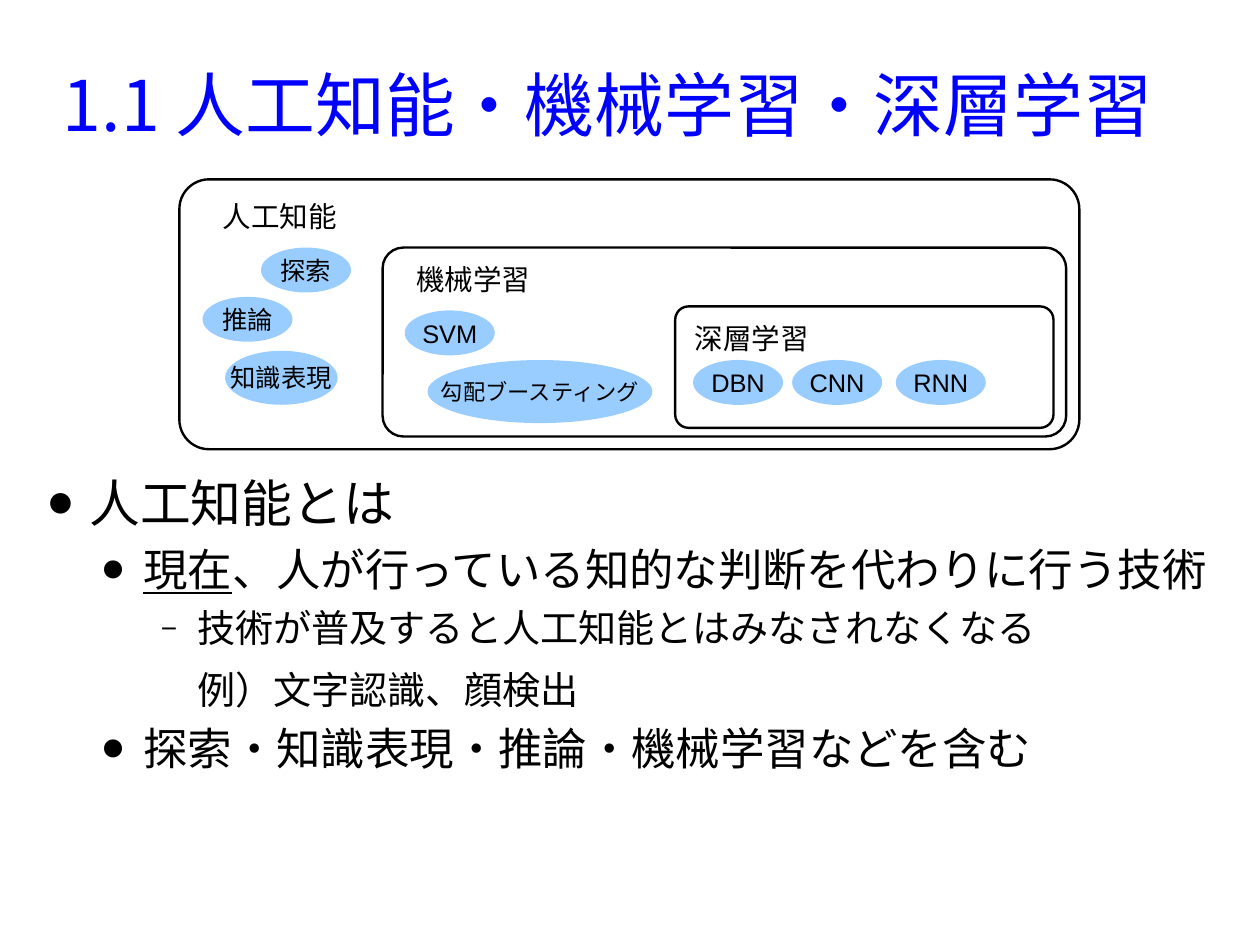
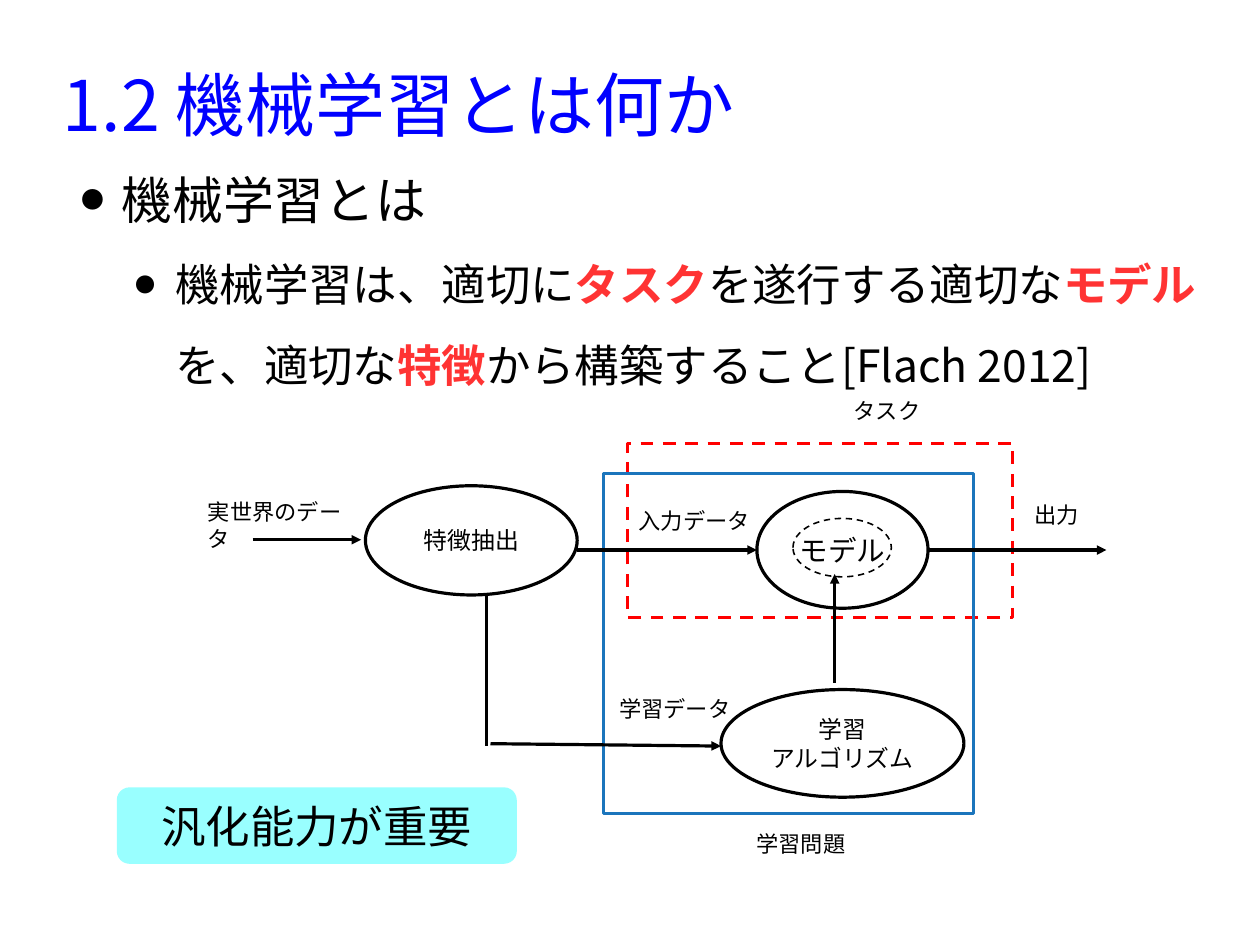
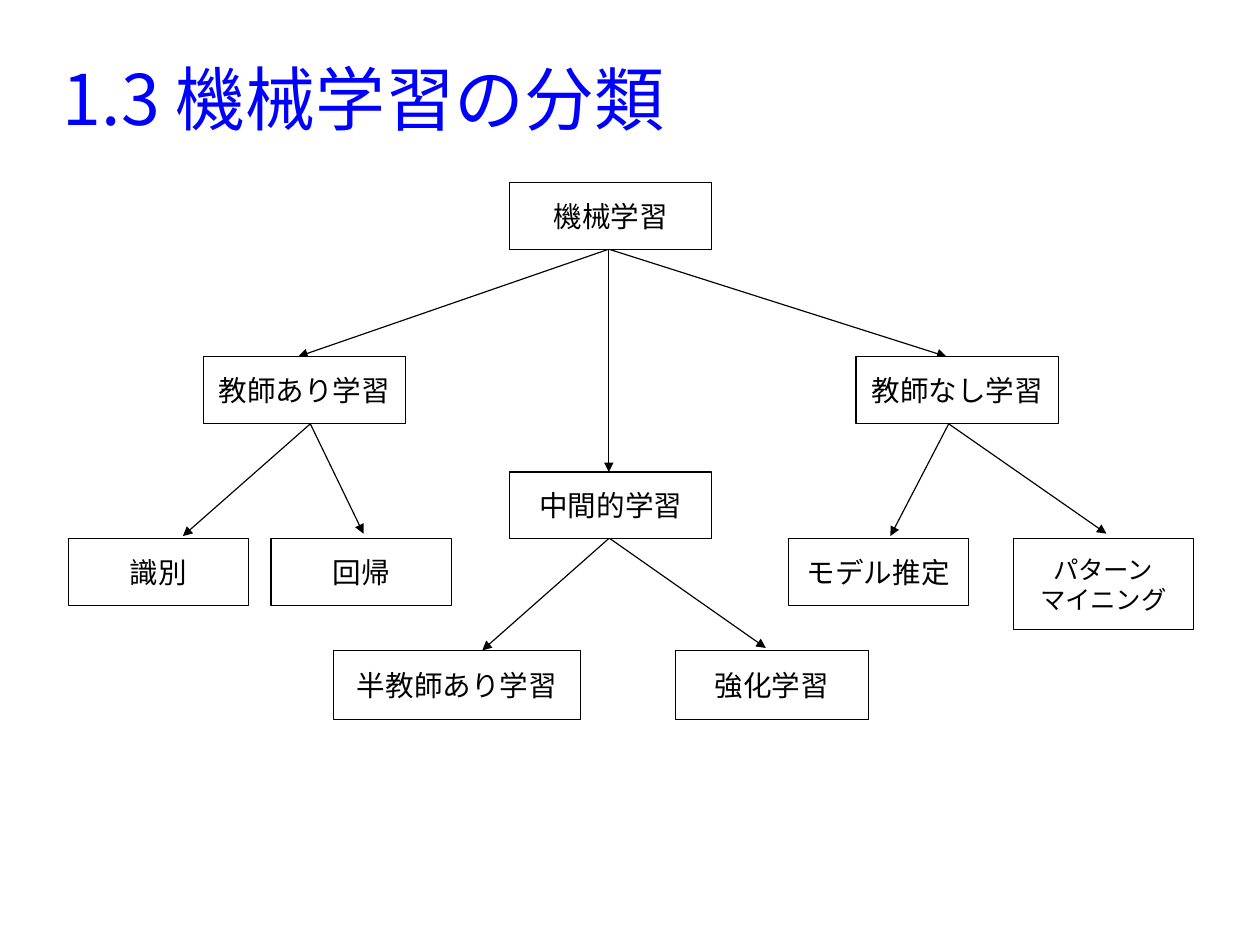
from lxml import etree
from pptx import Presentation
from pptx.dml.color import RGBColor
from pptx.enum.dml import MSO_LINE
from pptx.enum.shapes import MSO_CONNECTOR, MSO_SHAPE
from pptx.enum.text import MSO_ANCHOR, MSO_AUTO_SIZE, PP_ALIGN
from pptx.oxml.ns import qn
from pptx.util import Pt

RECT, ROUND, OVAL = MSO_SHAPE.RECTANGLE, MSO_SHAPE.ROUNDED_RECTANGLE, MSO_SHAPE.OVAL
LINE = MSO_CONNECTOR.STRAIGHT
DASH = MSO_LINE.DASH
LEFT, MID = PP_ALIGN.LEFT, PP_ALIGN.CENTER
TOP, CENTER = MSO_ANCHOR.TOP, MSO_ANCHOR.MIDDLE
FIXED = MSO_AUTO_SIZE.NONE
NOTO, ARIAL = "Noto Sans CJK JP", "Arial"
COLOR = {"black": "000000", "white": "FFFFFF", "title": "0000FF", "key": "FF3333",
         "sky": "99CCFF", "aqua": "99FFFF", "task": "FF0000", "learn": "1B75BC"}
# Outline levels: left margin, hanging indent, size, bullet, bullet percent
LEVEL = [(34, -25.2, 32, "●", 45), (68, -25.2, 28, "●", 45), (102, -22.3, 24, "−", 75)]


def rgb(name):
    return RGBColor.from_string(COLOR[name])


def write(para, text, size=18, font=NOTO, color="black", bold=False, under=False):
    """Add one formatted run to a paragraph."""
    run = para.add_run()
    run.text = text
    face = run.font
    face.size, face.name, face.bold, face.underline = Pt(size), font, bold, under
    face.color.rgb = rgb(color)
    east = etree.Element(qn("a:ea"), typeface=font)
    face._element.find(qn("a:latin")).addnext(east)


class Deck:
    def __init__(self, width, height):
        self.prs = Presentation()
        self.prs.slide_width, self.prs.slide_height = Pt(width), Pt(height)
        self.slide = None

    def frame(self, shape, anchor=TOP, pad=(7.2, 3.6), wrap=False):
        frame = shape.text_frame
        frame.auto_size, frame.word_wrap = FIXED, wrap
        frame.vertical_anchor = anchor
        frame.margin_left = frame.margin_right = Pt(pad[0])
        frame.margin_top = frame.margin_bottom = Pt(pad[1])
        return frame

    def fill_in(self, frame, text, align, **look):
        for i, line in enumerate(text.split("\n")):
            para = frame.add_paragraph() if i else frame.paragraphs[0]
            para.alignment = align
            write(para, line, **look)

    def start(self, title, top=10.8, height=108, gap=53.9):
        """Open a title-only slide."""
        self.slide = self.prs.slides.add_slide(self.prs.slide_layouts[5])
        shape = self.slide.shapes.title
        shape.left, shape.top, shape.width, shape.height = map(Pt, (39.6, top, 725.8, height))
        frame = self.frame(shape, CENTER, (0, 0), True)
        self.fill_in(frame, title, LEFT, size=44, color="title")
        if gap:
            frame.paragraphs[0].line_spacing = Pt(gap)

    def label(self, text, x, y, w, h=24, wrap=False, **look):
        box = self.slide.shapes.add_textbox(Pt(x), Pt(y), Pt(w), Pt(h))
        self.fill_in(self.frame(box, wrap=wrap), text, LEFT, **look)

    def shape(self, kind, x, y, w, h, text="", fill=None, line=None, thick=1,
              dash=None, curve=None, **look):
        item = self.slide.shapes.add_shape(kind, Pt(x), Pt(y), Pt(w), Pt(h))
        item.shadow.inherit = False
        if curve is not None:
            item.adjustments[0] = curve
        if fill:
            item.fill.solid()
            item.fill.fore_color.rgb = rgb(fill)
        else:
            item.fill.background()
        if line:
            item.line.color.rgb = rgb(line)
            item.line.width = Pt(thick)
            if dash:
                item.line.dash_style = dash
        else:
            item.line.fill.background()
        if text:
            self.fill_in(self.frame(item, CENTER), text, MID, **look)

    def link(self, x1, y1, x2, y2, thick=0.75, head=True):
        item = self.slide.shapes.add_connector(LINE, Pt(x1), Pt(y1), Pt(x2), Pt(y2))
        item.line.color.rgb = rgb("black")
        item.line.width = Pt(thick)
        if head:
            etree.SubElement(item.line._get_or_add_ln(), qn("a:tailEnd"), type="triangle")
        etree.SubElement(item._element.spPr, qn("a:effectLst"))

    def outline(self, x, y, w, h, rows, after=0, gap=None):
        """Rows hold level, bullet flag, line spacing and (text, format) runs."""
        box = self.slide.shapes.add_textbox(Pt(x), Pt(y), Pt(w), Pt(h))
        frame = self.frame(box, pad=(0, 0), wrap=True)
        for i, (level, mark, space, runs) in enumerate(rows):
            para = frame.add_paragraph() if i else frame.paragraphs[0]
            left, hang, size, sign, part = LEVEL[level]
            props = para._p.get_or_add_pPr()
            props.set("marL", str(Pt(left)))
            props.set("indent", str(Pt(hang) if mark else 0))
            if mark:
                tint = etree.SubElement(props, qn("a:buClr"))
                etree.SubElement(tint, qn("a:srgbClr"), val=COLOR["black"])
                etree.SubElement(props, qn("a:buSzPct"), val=str(part * 1000))
                etree.SubElement(props, qn("a:buFont"), typeface=NOTO)
                etree.SubElement(props, qn("a:buChar"), char=sign)
            para.level = level
            para.space_after = Pt(after)
            if space or gap:
                para.line_spacing = space or Pt(gap)
            for text, look in runs:
                write(para, text, size=size, **look)


def fields(deck):
    deck.start("1.1 人工知能・機械学習・深層学習")
    deck.outline(22.3, 297.4, 740.2, 269.3, [
        (0, True, None, [("人工知能とは", {})]),
        (1, True, None, [("現在", {"under": True}),
                         ("、人が行っている知的な判断を代わりに行う技術", {})]),
        (2, True, None, [("技術が普及すると人工知能とはみなされなくなる", {})]),
        (2, False, 1.15, [("例）文字認識、顔検出", {})]),
        (1, True, None, [("探索・知識表現・推論・機械学習などを含む", {})]),
    ], after=5.7)
    # Nested fields
    for x, y, w, h in [(113, 113, 566.9, 170), (241, 156, 430.6, 119),
                       (425.3, 193, 238.3, 76.5)]:
        deck.shape(ROUND, x, y, w, h, line="black", thick=1.5, curve=0.11)
    for text, x, y in [("人工知能", 133.2, 121.7), ("機械学習", 255, 161.3),
                       ("深層学習", 430.6, 198.7)]:
        deck.label(text, x, y, 86.4, 34, font=ARIAL)
    # Methods
    for text, x, y, w, h, size in [
            ("探索", 164.4, 156, 56.7, 28.3, 16), ("推論", 127.6, 187, 56.7, 28.3, 16),
            ("知識表現", 141.8, 221, 70.9, 34, 16), ("SVM", 255, 195.6, 56.7, 28.3, 16),
            ("勾配ブースティング", 269.3, 226.8, 141.7, 39.7, 14),
            ("DBN", 436.6, 226.8, 56.7, 28.3, 16), ("CNN", 499, 226.8, 56.7, 28.3, 16),
            ("RNN", 564.3, 226.8, 56.7, 28.3, 16)]:
        deck.shape(OVAL, x, y, w, h, text, fill="sky", size=size, font=ARIAL)


def flow(deck):
    deck.start("1.2 機械学習とは何か")
    key = {"color": "key", "bold": True}
    deck.outline(42.5, 93.6, 714.2, 371.5, [
        (0, True, None, [("機械学習とは", {})]),
        (1, True, None, [("機械学習は、適切に", {}), ("タスク", key),
                         ("を遂行する適切な", {}), ("モデル", key), ("を、適切な", {}),
                         ("特徴", key), ("から構築すること[Flach 2012]", {})]),
    ], gap=51)
    deck.shape(ROUND, 73.6, 496, 252, 48.2, "汎化能力が重要", fill="aqua", size=28)
    # Steps
    for text, x, y, w, h, size in [("特徴抽出", 230.2, 306, 133.4, 68.8, 15),
                                   ("モデル", 476.8, 309.6, 107.8, 73.6, 18),
                                   ("学習\nアルゴリズム", 454.2, 434.4, 153, 67.8, 15)]:
        deck.shape(OVAL, x, y, w, h, text, line="black", thick=2, size=size)
    # Task and learning scopes
    deck.shape(RECT, 395.3, 279.2, 242.6, 110, line="task", thick=2, dash=DASH)
    deck.shape(RECT, 380, 298.2, 233.3, 214.4, line="learn", thick=2)
    deck.shape(OVAL, 499.5, 326.6, 62, 36.8, line="black", dash=DASH)
    # Flow arrows
    for ends in [(159.1, 340, 227.5, 340), (363.6, 346.5, 476.8, 346.5),
                 (584.6, 346.5, 697, 346.5), (309, 468.5, 454.2, 470),
                 (525.8, 430, 525.8, 361.6)]:
        deck.link(*ends, thick=2)
    deck.link(306.5, 375, 306.5, 470, thick=2, head=False)
    # Labels
    for text, x, y, w in [("入力データ", 395.3, 316, 84.2), ("出力", 644.4, 312.5, 42.5),
                          ("学習データ", 383, 434.4, 84.2), ("タスク", 530.6, 247, 56.2),
                          ("学習問題", 469.4, 519.2, 70.6)]:
        deck.label(text, x, y, w, size=14)
    deck.label("実世界のデータ", 123.8, 310.3, 112, wrap=True, size=14)


def tree(deck):
    deck.start("1.3 機械学習の分類", top=23.8, height=75.6, gap=None)
    # Branches: start point, then arrow tips
    for x, y, tips in [(383.5, 157, [(187.9, 224.6), (596.2, 224.6), (383.5, 297.4)]),
                       (195.5, 267, [(115.2, 337.7), (229, 336.2)]),
                       (597.6, 267, [(560.9, 337.7), (697, 336.2)]),
                       (383.8, 339, [(303.8, 409.7), (482.4, 408.2)])]:
        for tip in tips:
            deck.link(x, y, *tip)
    # Classes
    for text, x, y, w, h, size in [
            ("機械学習", 321, 115, 127.5, 42, 18),
            ("教師あり学習", 128, 224.6, 127.5, 42, 18),
            ("教師なし学習", 539.3, 224.6, 127.5, 42, 18),
            ("中間的学習", 321, 297.4, 127.5, 42, 18),
            ("識別", 43, 339.3, 113.5, 42, 18), ("回帰", 170.8, 339.3, 113.5, 42, 18),
            ("モデル推定", 496.5, 339.3, 113.5, 42, 18),
            ("パターン\nマイニング", 638.3, 339.3, 113.5, 57.5, 16),
            ("半教師あり学習", 210, 409.7, 155.8, 43.7, 18),
            ("強化学習", 425.3, 409.7, 121.8, 43.7, 18)]:
        deck.shape(RECT, x, y, w, h, text, fill="white", line="black", thick=0, size=size)


def main():
    deck = Deck(793.7, 595.3)
    fields(deck)
    flow(deck)
    tree(deck)
    deck.prs.save("out.pptx")


if __name__ == "__main__":
    main()
